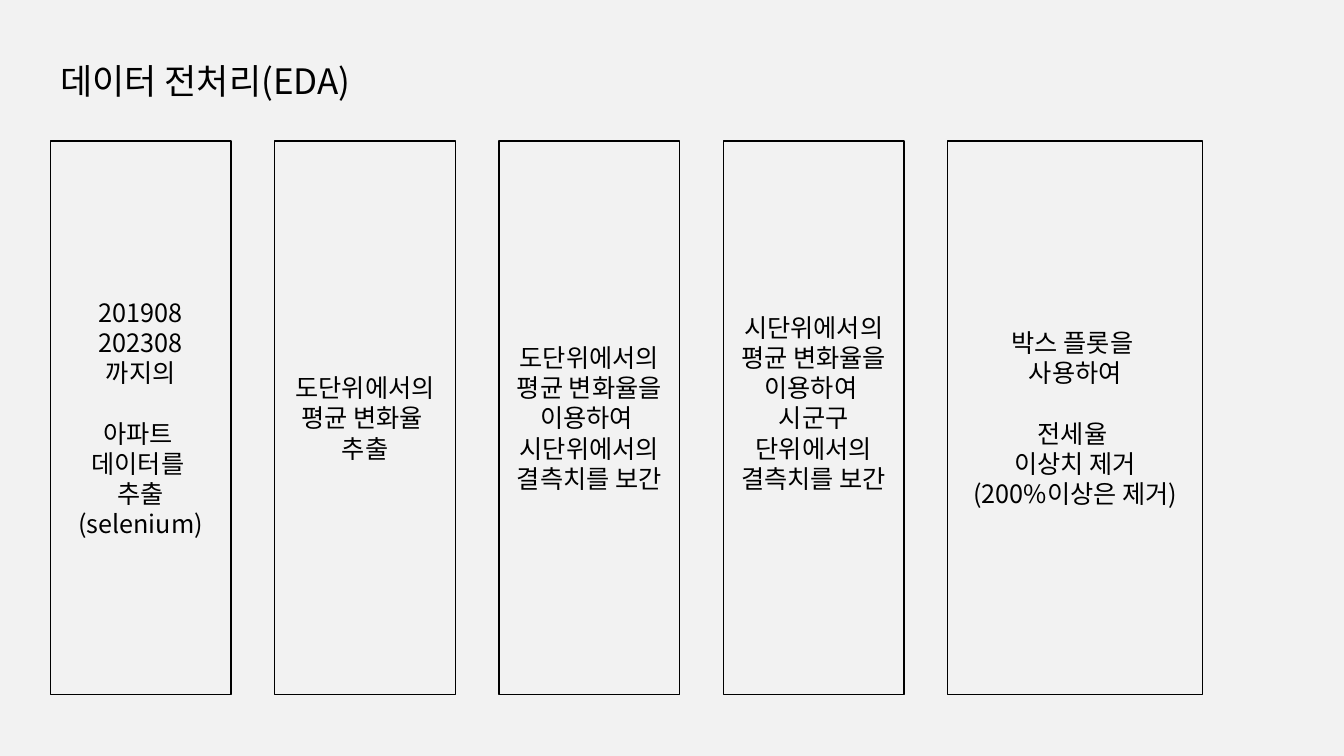
from pptx import Presentation
from pptx.dml.color import RGBColor
from pptx.enum.shapes import MSO_SHAPE as Shape
from pptx.enum.text import MSO_ANCHOR as Anchor, MSO_AUTO_SIZE as Fit, PP_ALIGN as Align
from pptx.oxml.ns import qn
from pptx.util import Inches, Pt

FONT = "Noto Sans CJK KR"
BLACK = "000000"


def color(code):
    return RGBColor.from_string(code)


def style(para, size, align):
    """Format a paragraph, with the font for Latin and Korean letters."""
    para.alignment = align
    for run in para.runs:
        font = run.font
        font.size = Pt(size)
        font.name = FONT
        font.color.rgb = color(BLACK)
        latin = run._r.get_or_add_rPr().find(qn("a:latin"))
        east = latin.makeelement(qn("a:ea"), {"typeface": FONT})
        latin.addnext(east)


# Each step is a list of text groups, parted by one line of space
steps = [
    ["201908\n202308\n까지의", "아파트 \n데이터를 \n추출\n(selenium)"],
    ["도단위에서의 평균 변화율 \n추출"],
    ["도단위에서의\n평균 변화율을 이용하여 \n시단위에서의\n결측치를 보간"],
    ["시단위에서의\n평균 변화율을 이용하여 \n시군구\n단위에서의\n결측치를 보간"],
    ["박스 플롯을 \n사용하여", "전세율 \n이상치 제거\n(200%이상은 제거)"],
]
left, top, height = 0.5, 1.4, 5.49
pitch = 8.9 / 4
widths = [1.79] * 4 + [2.53]

deck = Presentation()
deck.slide_width = Inches(13.33)
deck.slide_height = Inches(7.5)
slide = deck.slides.add_slide(deck.slide_layouts[5])
slide.background.fill.solid()
slide.background.fill.fore_color.rgb = color("F2F2F2")

title = slide.shapes.title
title.left, title.top = Inches(left), Inches(0.54)
title.width, title.height = Inches(5.13), Inches(0.52)
frame = title.text_frame
frame.text = "데이터 전처리(EDA)"
frame.word_wrap = True
frame.auto_size = Fit.SHAPE_TO_FIT_TEXT
frame.vertical_anchor = Anchor.TOP
style(frame.paragraphs[0], 25, Align.LEFT)

for i, (groups, width) in enumerate(zip(steps, widths)):
    box = slide.shapes.add_shape(
        Shape.RECTANGLE, Inches(left + i * pitch), Inches(top), Inches(width), Inches(height)
    )
    box.shadow.inherit = False
    box.fill.background()
    box.line.color.rgb = color(BLACK)
    box.line.width = Pt(1)
    frame = box.text_frame
    frame.word_wrap = True
    frame.vertical_anchor = Anchor.MIDDLE
    if i == 3:
        frame.margin_bottom = Inches(0.35)
    frame.text = "\n".join(groups)
    for para in frame.paragraphs:
        style(para, 18, Align.CENTER)
    if len(groups) > 1:
        start = len(groups[0].split("\n"))
        frame.paragraphs[start].space_before = Pt(21.6)

deck.save("out.pptx")
